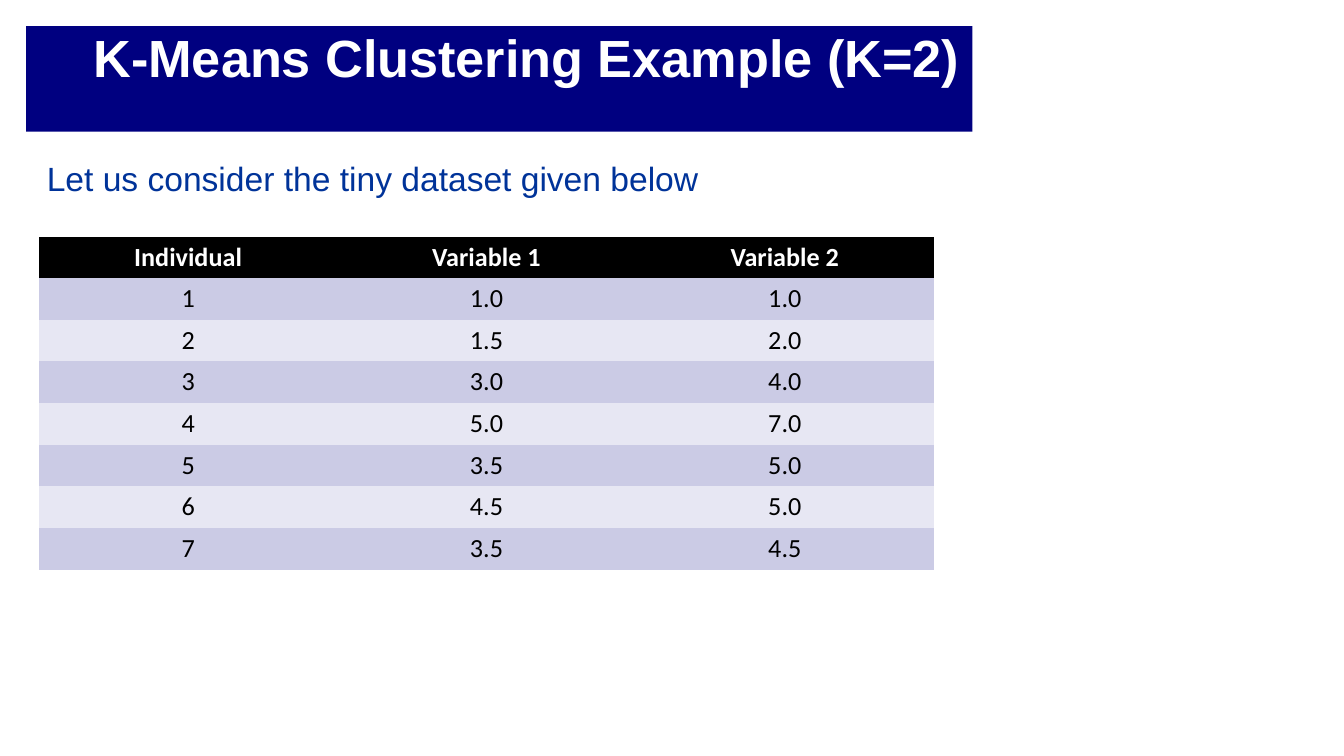
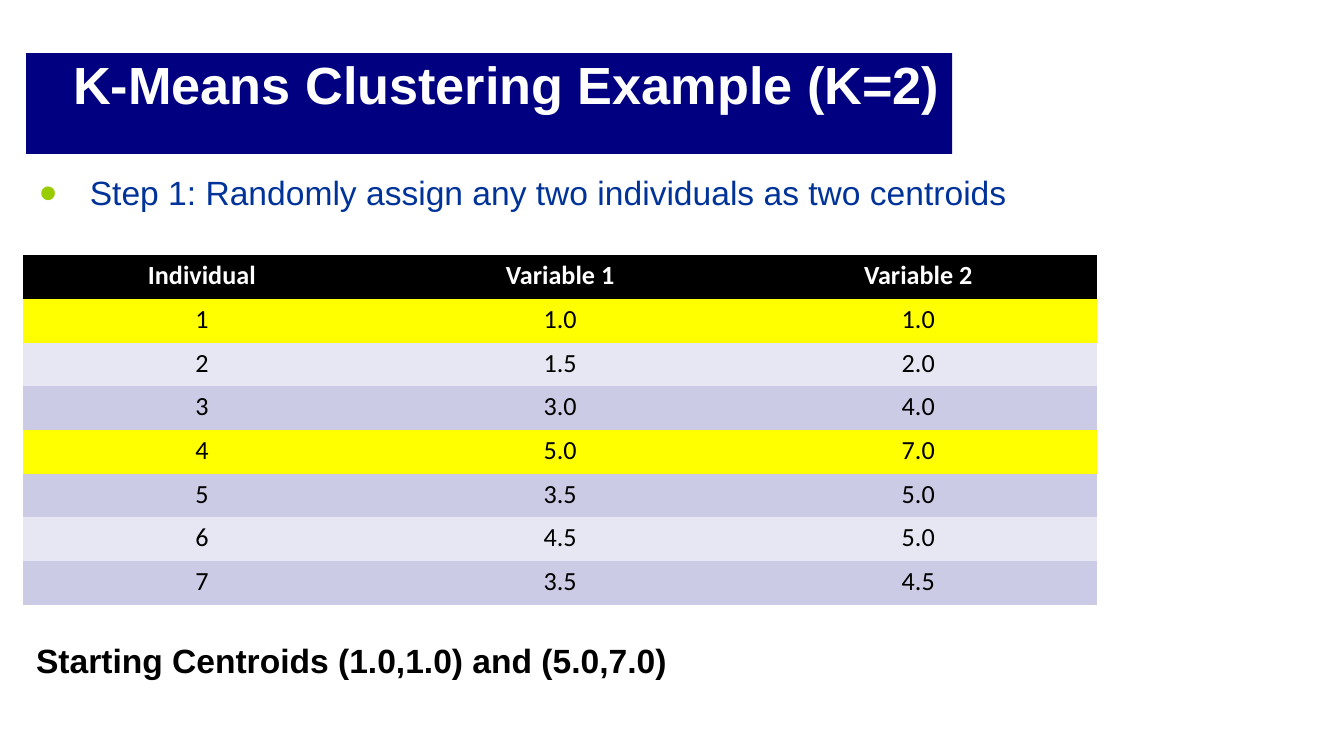
"""Build the two K-means example slides."""
from dataclasses import dataclass
from typing import Any

from lxml import etree
from pptx import Presentation
from pptx import util as u
from pptx.dml.color import RGBColor
from pptx.enum import shapes, text
from pptx.oxml import ns

PX = 4572
COLORS = {
    "band": "000080", "title": "FFFFFF", "body": "003399", "bullet": "99CC00",
    "header": "000000", "cell": "000000", "odd": "CBCBE5", "even": "E7E7F3",
    "centroid": "FFFF00",
}
NO_STYLE = "{2D5ABB26-0587-4C30-8999-92F81FD0307C}"
TITLE = "K-Means Clustering Example (K=2)"
HEADINGS = ("Individual", "Variable 1", "Variable 2")
DATASET = ((1.0, 1.0), (1.5, 2.0), (3.0, 4.0), (5.0, 7.0),
           (3.5, 5.0), (4.5, 5.0), (3.5, 4.5))
FRAME = {"word_wrap": True, "vertical_anchor": text.MSO_ANCHOR.TOP,
         "margin_left": 20 * PX, "margin_right": 20 * PX,
         "margin_top": 10 * PX, "margin_bottom": 10 * PX}
CELL = {"vertical_anchor": text.MSO_ANCHOR.TOP,
        "margin_left": 20 * PX, "margin_right": 20 * PX,
        "margin_top": 7 * PX, "margin_bottom": 7 * PX}
TABLE = {"first_row": False, "horz_banding": False}


@dataclass(frozen=True)
class Box:
    """A rectangle in px."""
    left: int
    top: int
    width: int
    height: int

    def emu(self) -> tuple[int, ...]:
        """Return the rectangle in EMU."""
        return tuple(n * PX for n in (self.left, self.top, self.width, self.height))


@dataclass(frozen=True)
class Style:
    """The look of one paragraph."""
    size: int
    color: str
    bold: bool = False
    font: str = "Arial"
    align: Any = text.PP_ALIGN.LEFT
    spacing: float | None = None


@dataclass(frozen=True)
class Grid:
    """The place of the dataset table and its highlighted individuals."""
    left: int
    top: int
    column: int
    row: int
    centroids: tuple[int, ...] = ()


@dataclass(frozen=True)
class Step:
    """The content of one slide."""
    band: Box
    intro_box: Box
    intro: str
    grid: Grid
    bulleted: bool = False
    result_box: Box | None = None
    result: str = ""


TITLE_STYLE = Style(28, "title", True, align=text.PP_ALIGN.RIGHT, spacing=0.9)
INTRO_STYLE = Style(18, "body", spacing=0.9)
RESULT_STYLE = Style(18, "cell", True)
HEADER_STYLE = Style(14, "title", True, "Calibri", text.PP_ALIGN.CENTER)
CELL_STYLE = Style(14, "cell", False, "Calibri", text.PP_ALIGN.CENTER)

STEPS = (
    Step(Box(39, 39, 1408, 157), Box(50, 232, 1906, 84),
         "Let us consider the tiny dataset given below", Grid(58, 352, 444, 62)),
    Step(Box(39, 79, 1378, 150), Box(39, 253, 1922, 134),
         "Step 1: Randomly assign any two individuals as two centroids",
         Grid(34, 380, 533, 65, (1, 4)), True,
         Box(34, 943, 1926, 60), "Starting Centroids (1.0,1.0) and (5.0,7.0)"),
)


def apply(target: Any, values: dict[str, Any]) -> None:
    """Set attributes from a dict of format values."""
    for name, value in values.items():
        setattr(target, name, value)


def rgb(color: str) -> RGBColor:
    """Look up a named colour."""
    return RGBColor.from_string(COLORS[color])


def paint(target: Any, color: str) -> None:
    """Fill a shape or cell with a named colour."""
    target.fill.solid()
    target.fill.fore_color.rgb = rgb(color)


def write(frame: Any, words: str, style: Style) -> Any:
    """Write one styled paragraph and return it."""
    paragraph = frame.paragraphs[0]
    apply(paragraph, {"alignment": style.align, "line_spacing": style.spacing})
    run = paragraph.add_run()
    run.text = words
    apply(run.font, {"name": style.font, "size": u.Pt(style.size), "bold": style.bold})
    run.font.color.rgb = rgb(style.color)
    return paragraph


def add_bullet(paragraph: Any) -> None:
    """Give a paragraph a hanging coloured bullet."""
    props = paragraph._p.get_or_add_pPr()
    props.set("marL", str(75 * PX))
    props.set("indent", str(-75 * PX))
    tint = etree.SubElement(props, ns.qn("a:buClr"))
    etree.SubElement(tint, ns.qn("a:srgbClr"), val=COLORS["bullet"])
    etree.SubElement(props, ns.qn("a:buSzPct"), val="150000")
    etree.SubElement(props, ns.qn("a:buFont"), typeface="Arial")
    etree.SubElement(props, ns.qn("a:buChar"), char="•")


def add_band(slide: Any, box: Box) -> None:
    """Draw the title band."""
    band = slide.shapes.add_shape(shapes.MSO_SHAPE.RECTANGLE, *box.emu())
    band.shadow.inherit = False
    band.line.fill.background()
    paint(band, "band")
    apply(band.text_frame, FRAME)
    write(band.text_frame, TITLE, TITLE_STYLE)


def add_text(slide: Any, box: Box, words: str, style: Style) -> Any:
    """Draw a text box and return its paragraph."""
    frame = slide.shapes.add_textbox(*box.emu()).text_frame
    apply(frame, FRAME)
    return write(frame, words, style)


def add_dataset(slide: Any, grid: Grid) -> None:
    """Draw the dataset table."""
    rows = [HEADINGS] + [(str(n), *map(str, pair)) for n, pair in enumerate(DATASET, 1)]
    box = Box(grid.left, grid.top, grid.column * len(HEADINGS), grid.row * len(rows))
    table = slide.shapes.add_table(len(rows), len(HEADINGS), *box.emu()).table
    apply(table, TABLE)
    table._tbl.tblPr.find(ns.qn("a:tableStyleId")).text = NO_STYLE
    for individual, values in enumerate(rows):
        if individual == 0:
            fill, style = "header", HEADER_STYLE
        else:
            fill, style = ("even", "odd")[individual % 2], CELL_STYLE
        if individual in grid.centroids:
            fill = "centroid"
        for column, value in enumerate(values):
            cell = table.cell(individual, column)
            apply(cell, CELL)
            paint(cell, fill)
            write(cell.text_frame, value, style)


def add_step(deck: Any, step: Step) -> None:
    """Build one slide."""
    slide = deck.slides.add_slide(deck.slide_layouts[6])
    add_band(slide, step.band)
    intro = add_text(slide, step.intro_box, step.intro, INTRO_STYLE)
    if step.bulleted:
        add_bullet(intro)
    add_dataset(slide, step.grid)
    if step.result_box:
        add_text(slide, step.result_box, step.result, RESULT_STYLE)


def main() -> None:
    """Build and save the deck."""
    deck = Presentation()
    apply(deck, {"slide_width": 2000 * PX, "slide_height": 1125 * PX})
    for step in STEPS:
        add_step(deck, step)
    deck.save("out.pptx")


if __name__ == "__main__":
    main()
